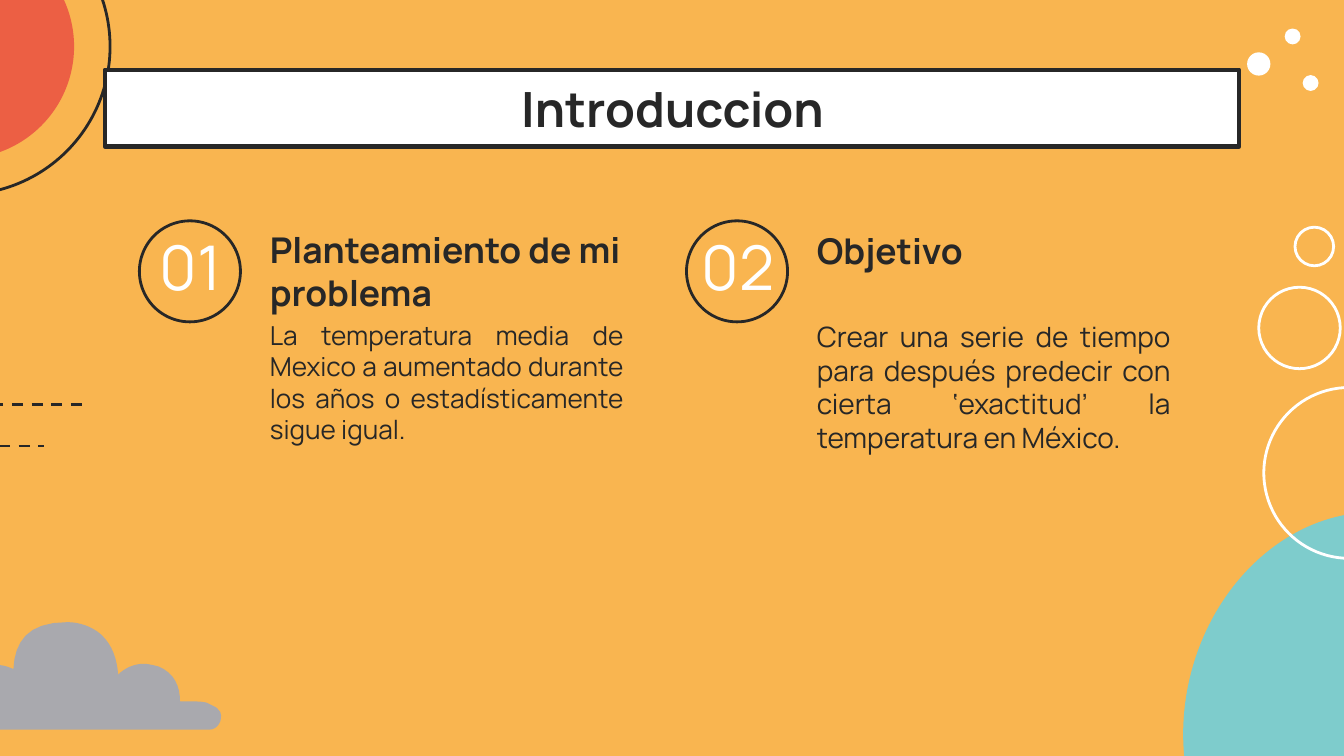
from lxml import etree
from pptx import Presentation
from pptx.dml.color import RGBColor
from pptx.enum.dml import MSO_LINE
from pptx.enum.shapes import MSO_CONNECTOR, MSO_SHAPE
from pptx.enum.text import MSO_ANCHOR, PP_ALIGN
from pptx.oxml.ns import qn
from pptx.util import Cm, Pt

OVAL, RECTANGLE = MSO_SHAPE.OVAL, MSO_SHAPE.RECTANGLE
STRAIGHT, DASH = MSO_CONNECTOR.STRAIGHT, MSO_LINE.DASH
TOP, MIDDLE, BOTTOM = MSO_ANCHOR.TOP, MSO_ANCHOR.MIDDLE, MSO_ANCHOR.BOTTOM
LEFT, CENTER, JUSTIFY = PP_ALIGN.LEFT, PP_ALIGN.CENTER, PP_ALIGN.JUSTIFY

COLORS = {
    name: RGBColor.from_string(value)
    for name, value in {
        "background": "F9B550", "ink": "272727", "white": "FFFFFF",
        "red": "EC5F44", "teal": "7ECCCC", "gray": "A9A9AE",
    }.items()
}
FORMATS = {
    "title": {"size": Pt(26), "bold": True, "color": "ink"},
    "number": {"size": Pt(33), "bold": False, "color": "white"},
    "heading": {"size": Pt(19), "bold": True, "color": "ink"},
    "body_14": {"size": Pt(14), "bold": False, "color": "ink"},
    "body_15": {"size": Pt(15), "bold": False, "color": "ink"},
}

deck = Presentation()
deck.slide_width, deck.slide_height = Cm(25.4), Cm(14.29)
page = deck.slides.add_slide(deck.slide_layouts[6])
page.background.fill.solid()
page.background.fill.fore_color.rgb = COLORS["background"]


def add_oval(center_x, center_y, width, height, fill=None, line=None):
    oval = page.shapes.add_shape(OVAL, Cm(center_x - width / 2), Cm(center_y - height / 2),
                                 Cm(width), Cm(height))
    oval.shadow.inherit = False
    if fill:
        oval.fill.solid()
        oval.fill.fore_color.rgb = COLORS[fill]
    else:
        oval.fill.background()
    if line:
        oval.line.color.rgb = COLORS[line]
        oval.line.width = Pt(1.5)
    else:
        oval.line.fill.background()
    return oval


def add_text(text, style, left, top, width, height, anchor, align):
    box = page.shapes.add_textbox(Cm(left), Cm(top), Cm(width), Cm(height))
    frame = box.text_frame
    for side in ("left", "top", "right", "bottom"):
        setattr(frame, f"margin_{side}", Cm(0.25))
    frame.word_wrap = True
    frame.vertical_anchor = anchor
    para = frame.paragraphs[0]
    para.alignment = align
    span = para.add_run()
    span.text = text
    span.font.name = "Manrope"
    for key, value in FORMATS[style].items():
        if key == "color":
            span.font.color.rgb = COLORS[value]
        else:
            setattr(span.font, key, value)


# Sun, hill and dots
add_oval(-0.72, 0.88, 5.6, 5.6, line="ink")
add_oval(-0.72, 0.88, 4.24, 4.24, fill="red")
add_oval(25.69, 13.56, 6.58, 7.82, fill="teal").rotation = 14
for x, y, size in ((23.79, 1.21, 0.44), (24.43, 0.69, 0.3), (24.77, 1.57, 0.3)):
    add_oval(x, y, size, size, fill="white")

# Dashed lines
for start, end, y in ((-3.73, 0.84, 8.43), (-1.63, 1.6, 7.65)):
    dashes = page.shapes.add_connector(STRAIGHT, Cm(start), Cm(y), Cm(end), Cm(y))
    dashes.line.color.rgb = COLORS["ink"]
    dashes.line.width = Pt(1.5)
    dashes.line.dash_style = DASH
    etree.SubElement(dashes._element.spPr, qn("a:effectLst"))

# Cloud: Bezier curves (two controls and an end), in units of 0.0254 cm
CLOUD_START = (50, 463)
CLOUD_CURVES = (
    (20, 463, 11, 478, 10, 498), (6, 496, 2, 495, -1, 495),
    (-11, 495, -20, 501, -21, 515), (-22, 512, -24, 510, -27, 509),
    (-28, 508, -30, 507, -32, 507), (-33, 507, -33, 508, -34, 508),
    (-37, 508, -40, 509, -43, 511), (-46, 513, -47, 516, -48, 520),
    (-50, 514, -55, 511, -60, 509), (-62, 509, -65, 508, -67, 508),
    (-70, 508, -74, 509, -78, 510), (-82, 512, -87, 515, -90, 519),
    (-93, 522, -96, 527, -95, 532), (-97, 530, -100, 529, -102, 529),
    (-105, 529, -107, 530, -109, 531), (-110, 532, -111, 533, -111, 534),
    (-112, 535, -113, 536, -113, 537), (-114, 540, -112, 543, -110, 544),
    (-74, 543, -37, 543, 1, 543), (19, 543, 37, 543, 55, 543),
    (89, 543, 123, 543, 156, 543), (162, 543, 166, 536, 164, 530),
    (163, 529, 162, 527, 160, 526), (158, 525, 156, 524, 154, 523),
    (150, 522, 146, 522, 141, 522), (139, 522, 136, 522, 134, 522),
    (134, 511, 130, 501, 118, 496), (114, 495, 110, 494, 107, 494),
    (100, 494, 93, 497, 88, 502), (87, 491, 84, 480, 75, 472),
    (68, 466, 59, 463, 50, 463),
)
STEPS = 8
unit = Cm(0.0254)
outline = []
x0, y0 = CLOUD_START
for x1, y1, x2, y2, x3, y3 in CLOUD_CURVES:
    for step in range(1, STEPS + 1):
        t = step / STEPS
        s = 1 - t
        weights = (s ** 3, 3 * s * s * t, 3 * s * t * t, t ** 3)
        outline.append(tuple(
            unit * sum(w * c for w, c in zip(weights, axis))
            for axis in ((x0, x1, x2, x3), (y0, y1, y2, y3))
        ))
    x0, y0 = x3, y3
builder = page.shapes.build_freeform(*(unit * c for c in CLOUD_START))
builder.add_line_segments(outline, close=True)
cloud = builder.convert_to_shape()
cloud.shadow.inherit = False
cloud.fill.solid()
cloud.fill.fore_color.rgb = COLORS["gray"]
cloud.line.fill.background()

# White rings
for x, y, size in ((25.5, 8.94, 3.23), (24.56, 6.2, 1.54), (24.84, 4.66, 0.73)):
    add_oval(x, y, size, size, line="white")

# Title bar
bar = page.shapes.add_shape(RECTANGLE, Cm(1.98), Cm(1.32), Cm(21.44), Cm(1.45))
bar.shadow.inherit = False
bar.fill.solid()
bar.fill.fore_color.rgb = COLORS["white"]
bar.line.color.rgb = COLORS["ink"]
bar.line.width = Pt(2.25)
add_text("Introduccion", "title", 2.72, 1.24, 19.99, 1.6, MIDDLE, CENTER)

# Numbered sections
SECTIONS = (
    ("01", "Planteamiento de mi problema", 3.99, 2.18, "body_14", 2.62,
     "La temperatura media de Mexico a aumentado durante los años o "
     "estadísticamente sigue igual."),
    ("02", "Objetivo", 4.29, 1.09, "body_15", 3.02,
     "Crear una serie de tiempo para después predecir con cierta ‘exactitud’ "
     "la temperatura en México."),
)
for index, (number, heading, top, height, style, body_height, body) in enumerate(SECTIONS):
    left = 2.36 + 10.34 * index
    add_text(number, "number", left, 4.29, 2.49, 1.47, MIDDLE, CENTER)
    add_text(heading, "heading", left + 2.49, top, 7.67, height, BOTTOM, LEFT)
    add_text(body, style, left + 2.49, 5.79, 7.19, body_height, TOP, JUSTIFY)
    add_oval(left + 1.23, 5.13, 1.91, 1.91, line="ink")

deck.save("out.pptx")
